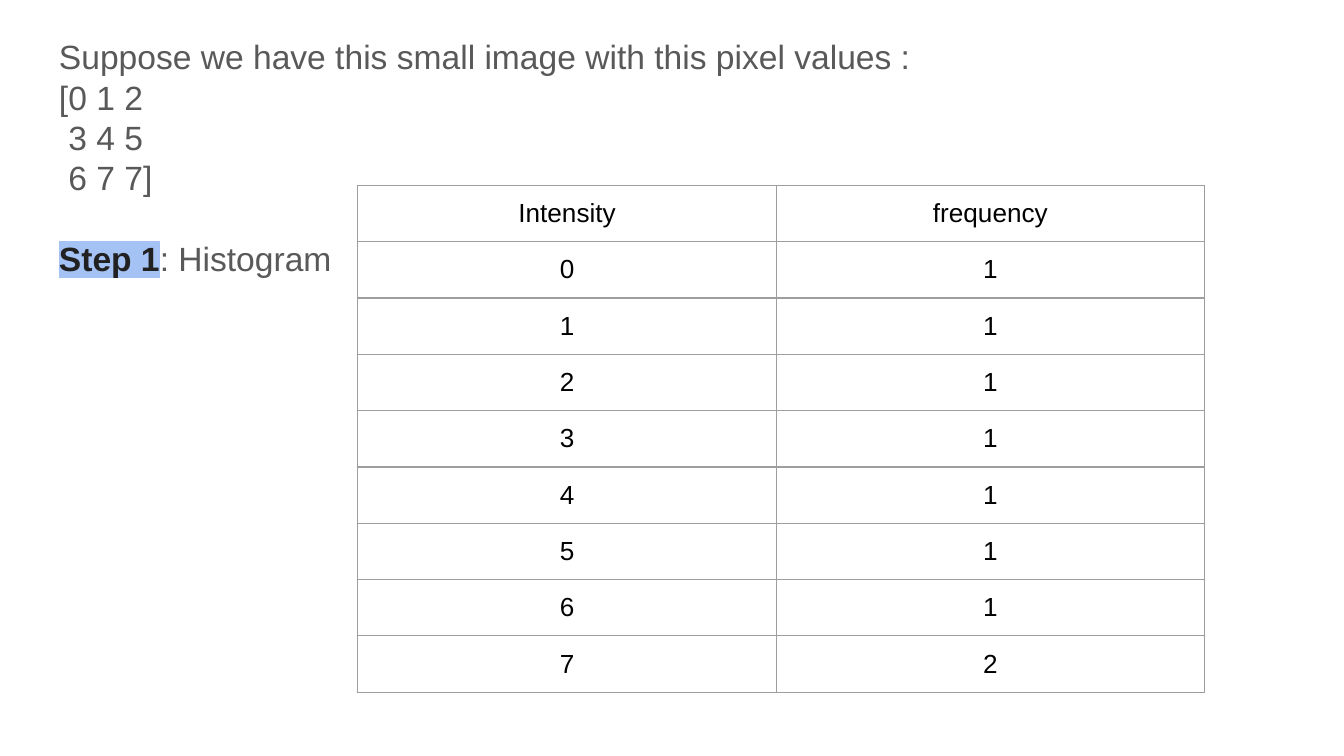
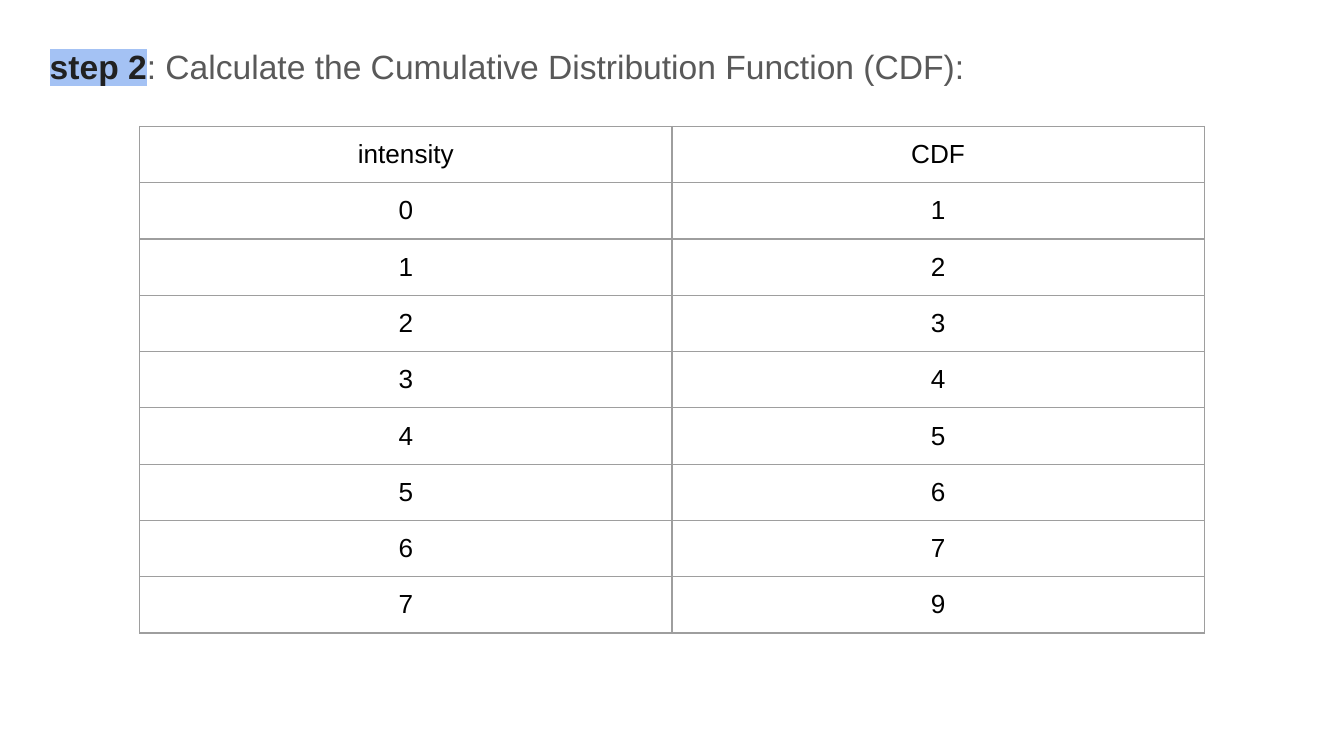
from pptx import Presentation
from pptx.dml.color import RGBColor
from pptx.enum.text import MSO_ANCHOR, MSO_AUTO_SIZE, PP_ALIGN
from pptx.oxml.ns import qn
from pptx.util import Inches, Pt
from lxml import etree

TOP = MSO_ANCHOR.TOP
NO_FIT = MSO_AUTO_SIZE.NONE
LEFT, CENTER = PP_ALIGN.LEFT, PP_ALIGN.CENTER

FONT = "Arial"
GREY = RGBColor(0x59, 0x59, 0x59)
DARK = RGBColor(0x21, 0x21, 0x21)
BLACK = RGBColor(0x00, 0x00, 0x00)
MARKER = RGBColor(0xA4, 0xC2, 0xF4)
RULE = RGBColor(0x9E, 0x9E, 0x9E)

TITLE_ONLY, BLANK = 5, 6
BODY_SIZE, CELL_SIZE = 18, 14
INSET = Inches(0.1)
ROW_HEIGHT = Inches(0.41)
MATRIX_INDENT = Inches(0.07)
STEP_GAP = Pt(21.5)


def add_span(para, text, size, color, bold=False):
    """Add one formatted run to a paragraph."""
    span = para.add_run()
    span.text = text
    font = span.font
    font.name, font.size, font.bold = FONT, Pt(size), bold
    font.color.rgb = color
    return span


def mark_span(span, color):
    """Put a highlight colour behind a run."""
    fill = span.font._element.find(qn("a:solidFill"))
    highlight = etree.Element(qn("a:highlight"))
    etree.SubElement(highlight, qn("a:srgbClr")).set("val", str(color))
    fill.addnext(highlight)


def set_frame(box, left, top, width, height):
    """Place a text shape and give it the shared frame settings."""
    box.left, box.top = Inches(left), Inches(top)
    box.width, box.height = Inches(width), Inches(height)
    frame = box.text_frame
    frame.word_wrap, frame.auto_size = True, NO_FIT
    frame.vertical_anchor = TOP
    frame.margin_left = frame.margin_right = INSET
    frame.margin_top = frame.margin_bottom = INSET
    return frame


def set_para(para, indent=0, gap=0):
    """Apply the shared alignment and spacing to a paragraph."""
    para.alignment, para.line_spacing = LEFT, 1.0
    para.space_before, para.space_after = gap, 0
    para._p.get_or_add_pPr().set("marL", str(indent))


def add_step(para, label, text, gap=0):
    """Write a highlighted step label followed by its text."""
    set_para(para, gap=gap)
    mark_span(add_span(para, label, BODY_SIZE, DARK, True), MARKER)
    add_span(para, text, BODY_SIZE, GREY)


def set_borders(cell):
    """Draw a thin line on all four sides of a cell."""
    properties = cell._tc.get_or_add_tcPr()
    for index, side in enumerate(("a:lnL", "a:lnR", "a:lnT", "a:lnB")):
        line = etree.Element(qn(side), w=str(Pt(0.75)))
        fill = etree.SubElement(line, qn("a:solidFill"))
        etree.SubElement(fill, qn("a:srgbClr")).set("val", str(RULE))
        properties.insert(index, line)


def add_grid(page, left, top, widths, rows):
    """Add a plain ruled table with centred text."""
    frame = page.shapes.add_table(
        len(rows), len(widths), Inches(left), Inches(top),
        Inches(sum(widths)), ROW_HEIGHT * len(rows))
    table = frame.table
    table.first_row = table.horz_banding = False
    for column, width in zip(table.columns, widths):
        column.width = Inches(width)
    for row, values in zip(table.rows, rows):
        row.height = ROW_HEIGHT
        for cell, value in zip(row.cells, values):
            cell.margin_left = cell.margin_right = INSET
            cell.margin_top = cell.margin_bottom = INSET
            cell.fill.background()
            set_borders(cell)
            para = cell.text_frame.paragraphs[0]
            para.alignment = CENTER
            add_span(para, str(value), CELL_SIZE, BLACK)


def add_histogram_page(deck, frequencies):
    """Build the slide with the pixel values and their histogram."""
    page = deck.slides.add_slide(deck.slide_layouts[BLANK])
    box = page.shapes.add_textbox(0, 0, 0, 0)
    frame = set_frame(box, 0.34, 0.17, 9.38, 5.33)
    lines = [
        ("Suppose we have this small image with this pixel values :", 0),
        ("[0 1 2", 0),
        ("3 4 5", MATRIX_INDENT),
        ("6 7 7]", MATRIX_INDENT),
    ]
    para = frame.paragraphs[0]
    for text, indent in lines:
        set_para(para, indent)
        add_span(para, text, BODY_SIZE, GREY)
        para = frame.add_paragraph()
    add_step(para, "Step 1", ": Histogram", STEP_GAP)
    rows = [("Intensity", "frequency"), *enumerate(frequencies)]
    add_grid(page, 2.66, 1.38, (3.12, 3.18), rows)


def add_cdf_page(deck, totals):
    """Build the slide with the cumulative distribution."""
    page = deck.slides.add_slide(deck.slide_layouts[TITLE_ONLY])
    frame = set_frame(page.shapes.title, 0.27, 0.24, 9.14, 5.14)
    add_step(frame.paragraphs[0], "step 2",
             ": Calculate the Cumulative Distribution Function (CDF):")
    rows = [("intensity", "CDF"), *enumerate(totals)]
    add_grid(page, 1.04, 0.94, (3.96, 3.96), rows)


def main():
    """Build and save the deck."""
    deck = Presentation()
    deck.slide_width = Inches(10)
    deck.slide_height = deck.slide_width * 9 // 16
    add_histogram_page(deck, (1, 1, 1, 1, 1, 1, 1, 2))
    add_cdf_page(deck, (1, 2, 3, 4, 5, 6, 7, 9))
    deck.save("out.pptx")


if __name__ == "__main__":
    main()
